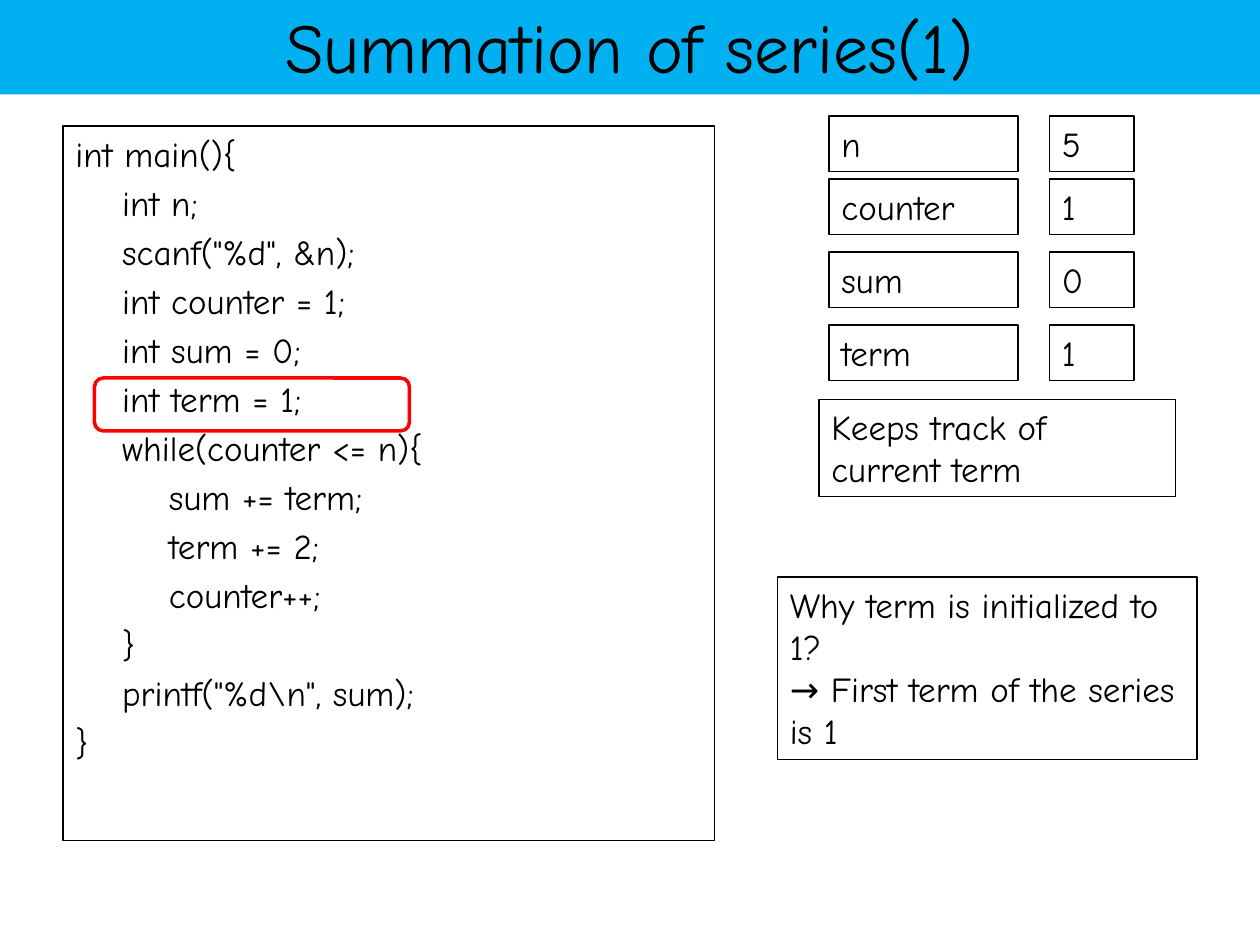
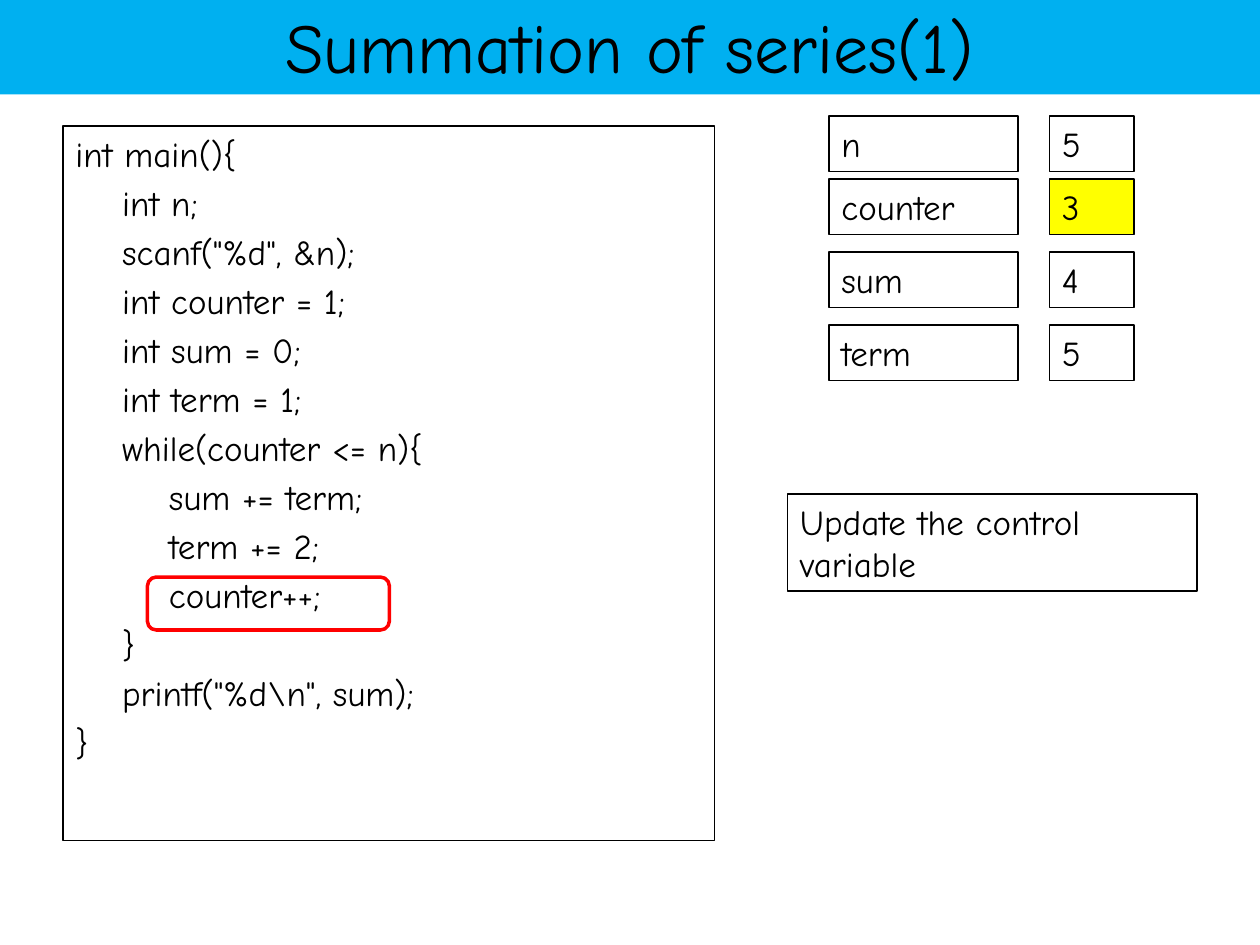
from pptx import Presentation
from pptx import util as u
from pptx.dml import color
from pptx.enum import shapes, text

INK, BAND, MARK, GLOW = "000000", "00B0F0", "FF0000", "FFFF00"
FACE = "Comic Neue"
TITLE = "Summation of series(1)"
CODE = r"""int main(){
    int n;
    scanf("%d", &n);
    int counter = 1;
    int sum = 0;
    int term = 1;
    while(counter <= n){
        sum += term;
        term += 2;
        counter++;
    }
    printf("%d\n", sum);
}""".split("\n")
NAMES = ["n", "counter", "sum", "term"]
TOPS = [0, 0.5, 1.08, 1.66]
SLIDES = [
    {"values": "5101", "mark": (0.75, 3, 2.5, 0.42),
     "notes": [((6.5, 3.17, 2.83, 0.77), ["Keeps track of current term"]),
               ((6.17, 4.58, 3.33, 1.45),
                ["Why term is initialized to 1?",
                 "→ First term of the series is 1"])]},
    {"values": "5345", "mark": (1.17, 4.58, 1.92, 0.42), "lit": "counter",
     "notes": [((6.25, 3.92, 3.25, 0.77), ["Update the control variable"])]},
]


def paint(form, hue):
    """Give a fill, line or font format a solid hex colour."""
    if hasattr(form, "solid"):
        form.solid()
        form = form.fore_color
    else:
        form = form.color
    form.rgb = color.RGBColor.from_string(hue)


def style(item, **values):
    """Set each given attribute on an item."""
    for name, value in values.items():
        setattr(item, name, value)


def write(frame, lines, size=20, gap=0, align=text.PP_ALIGN.LEFT):
    """Fill a text frame with one paragraph per line."""
    for i, line in enumerate(lines):
        para = frame.add_paragraph() if i else frame.paragraphs[0]
        para.text = line
        style(para, alignment=align, space_before=u.Pt(gap if i else 0))
        style(para.font, name=FACE, size=u.Pt(size))
        paint(para.font.fill, INK)


def draw(slide, box, kind=shapes.MSO_SHAPE.RECTANGLE, line=INK, width=0.75, fill=None):
    """Add an outlined shape, filled only when a colour is given."""
    shape = slide.shapes.add_shape(kind, *map(u.Inches, box))
    shape.shadow.inherit = False
    paint(shape.line, line)
    shape.line.width = u.Pt(width)
    if fill:
        paint(shape.fill, fill)
    else:
        shape.fill.background()
    return shape


def panel(slide, box, lines, gap=0, fill=None):
    """Add a framed text panel with its text at the top left."""
    frame = draw(slide, box, fill=fill).text_frame
    style(frame, word_wrap=True, vertical_anchor=text.MSO_ANCHOR.TOP)
    write(frame, lines, gap=gap)


def head(slide, box):
    """Turn the title placeholder into the coloured band."""
    title = slide.shapes.title
    left, top, width, height = map(u.Inches, box)
    style(title, left=left, top=top, width=width, height=height)
    paint(title.fill, BAND)
    style(title.text_frame, auto_size=text.MSO_AUTO_SIZE.NONE,
          vertical_anchor=text.MSO_ANCHOR.MIDDLE)
    write(title.text_frame, [TITLE], 40, align=text.PP_ALIGN.CENTER)


def trace(slide, box, values, lit):
    """List the variables and their values, lighting the changed one."""
    left, top, width, height = box
    cell = 0.67
    for name, value, drop in zip(NAMES, values, TOPS):
        y = top + drop
        panel(slide, (left, y, 1.5, height), [name])
        panel(slide, (left + width - cell, y, cell, height), [value],
              fill=GLOW if name == lit else None)


def step(deck, values, mark, notes, lit=None):
    """Build one slide that walks through a line of the program."""
    slide = deck.slides.add_slide(deck.slide_layouts[5])
    head(slide, (-0.01, -0.03, 10.01, 0.78))
    panel(slide, (0.5, 1, 5.17, 5.67), CODE, gap=4)
    trace(slide, (6.58, 0.92, 2.42, 0.44), values, lit)
    draw(slide, mark, shapes.MSO_SHAPE.ROUNDED_RECTANGLE, MARK, 2)
    for box, lines in notes:
        panel(slide, box, lines)


def main():
    """Build and save the deck."""
    deck = Presentation()
    style(deck, slide_width=u.Inches(10), slide_height=u.Inches(7.5))
    for values in SLIDES:
        step(deck, **values)
    deck.save("out.pptx")


if __name__ == "__main__":
    main()
